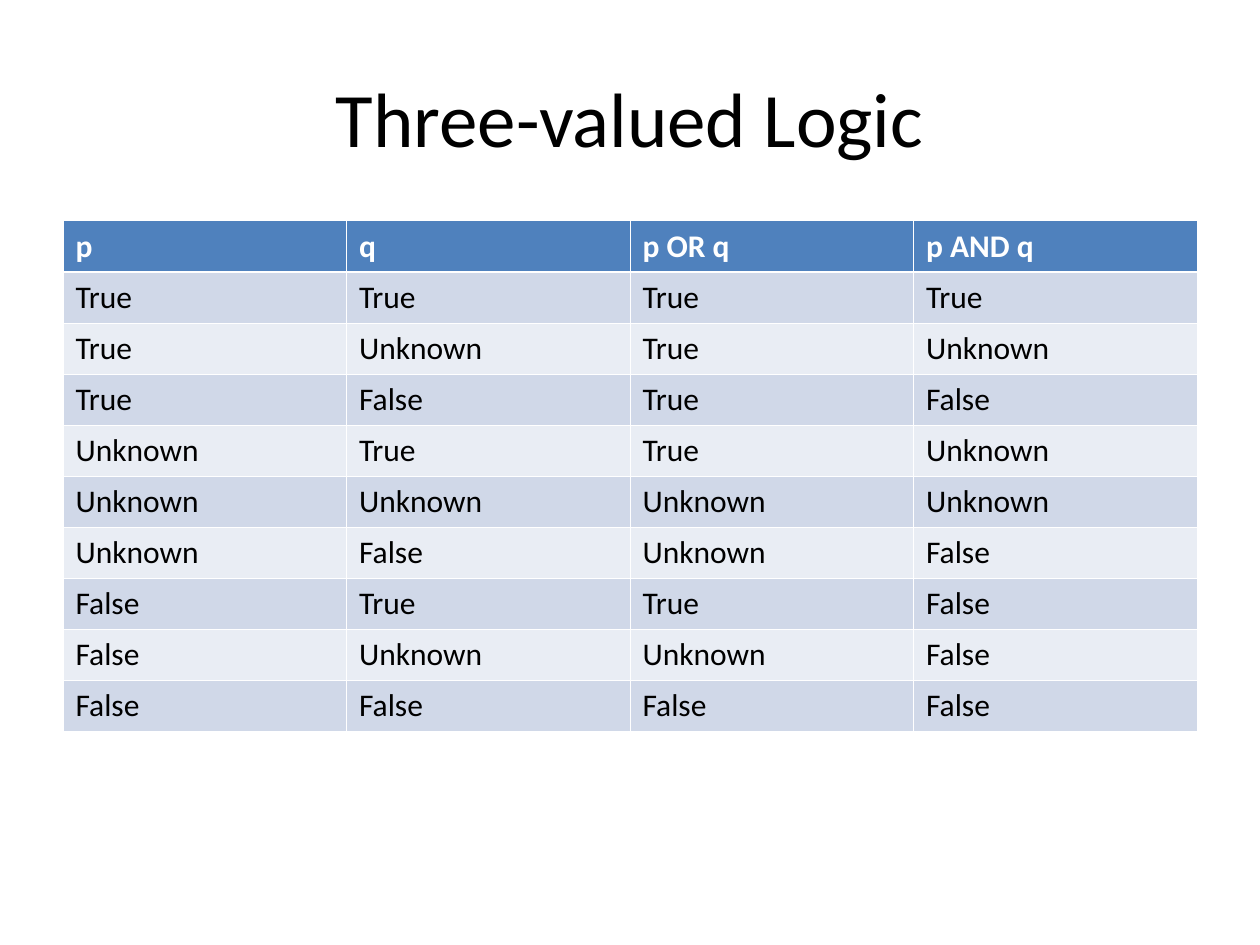
from itertools import product

from lxml import etree
from pptx import Presentation
from pptx import util as u
from pptx.dml import color
from pptx.enum import text
from pptx.oxml import ns

FONT = "Calibri"
HUES = {
    "ink": "000000",
    "paper": "FFFFFF",
    "head": "4F81BD",
    "odd": "D0D8E8",
    "even": "E9EDF4",
}
HEADS = ["p", "q", "p OR q", "p AND q"]
RANKS = ["False", "Unknown", "True"]
LEFT, WIDTH = u.Cm(1.27), u.Cm(22.86)
THIN, THICK = u.Pt(0.45), u.Pt(1.47)


def hue(name):
    return color.RGBColor.from_string(HUES[name])


def add_run(para, words, size, ink, bold=False):
    run = para.add_run()
    run.text = words
    font = run.font
    font.name, font.size, font.bold = FONT, u.Pt(size), bold
    font.color.rgb = hue(ink)


def add_title(slide, words):
    box = slide.shapes.add_textbox(LEFT, u.Cm(0.76), WIDTH, u.Cm(3.18))
    frame = box.text_frame
    frame.word_wrap = True
    frame.vertical_anchor = text.MSO_ANCHOR.MIDDLE
    para = frame.paragraphs[0]
    para.alignment = text.PP_ALIGN.CENTER
    add_run(para, words, 44, "ink")


def truth_rows():
    """Pair all values; OR is the higher rank of a pair, AND the lower."""
    for p, q in product(reversed(RANKS), repeat=2):
        yield [p, q, max(p, q, key=RANKS.index), min(p, q, key=RANKS.index)]


def add_edge(cell, side, width):
    props = cell._tc.get_or_add_tcPr()
    line = etree.SubElement(props, ns.qn(f"a:ln{side}"), w=str(width))
    fill = etree.SubElement(line, ns.qn("a:solidFill"))
    etree.SubElement(fill, ns.qn("a:srgbClr"), val=HUES["paper"])


def fill_cell(cell, words, row):
    head = row == 0
    edges = {
        "L": THIN,
        "R": THIN,
        "T": THICK if row == 1 else THIN,
        "B": THICK if head else THIN,
    }
    for side, width in edges.items():
        add_edge(cell, side, width)
    cell.fill.solid()
    cell.fill.fore_color.rgb = hue("head" if head else "odd" if row % 2 else "even")
    para = cell.text_frame.paragraphs[0]
    add_run(para, words, 18, "paper" if head else "ink", head)


def add_grid(slide, rows):
    high = u.Cm(1.03)
    frame = slide.shapes.add_table(
        len(rows), len(HEADS), LEFT, u.Cm(4.45), WIDTH, high * len(rows)
    )
    for r, row in enumerate(rows):
        for c, words in enumerate(row):
            fill_cell(frame.table.cell(r, c), words, r)


def main():
    deck = Presentation()
    deck.slide_width, deck.slide_height = u.Cm(25.4), u.Cm(19.05)
    slide = deck.slides.add_slide(deck.slide_layouts[6])
    add_title(slide, "Three-valued Logic")
    add_grid(slide, [HEADS, *truth_rows()])
    deck.save("out.pptx")


if __name__ == "__main__":
    main()
